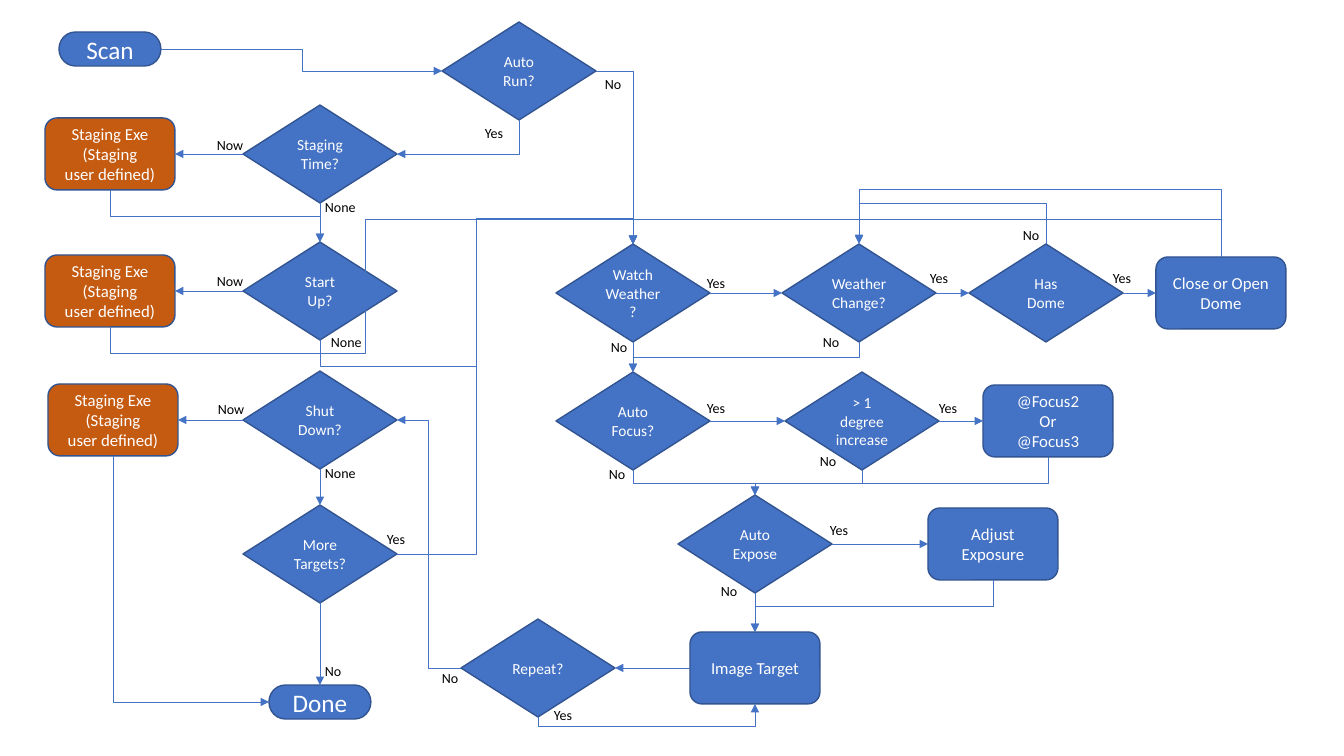
"""Build the telescope scan workflow flowchart slide."""
import pptx
import pptx.dml.color
import pptx.enum.shapes
import pptx.enum.text
import pptx.oxml
import pptx.oxml.ns
import pptx.util

SHAPE = pptx.enum.shapes.MSO_SHAPE
CONNECTOR = pptx.enum.shapes.MSO_CONNECTOR
ALIGN = pptx.enum.text.PP_ALIGN
BLUE, ORANGE, OUTLINE = "4472C4", "C55A11", "325491"
SIDES = ("top", "left", "bottom", "right")

KINDS = {
    "decision": (SHAPE.FLOWCHART_DECISION, 154, 98, 11, BLUE),
    "process": (SHAPE.FLOWCHART_ALTERNATE_PROCESS, 130, 72, 12, BLUE),
    "staging": (SHAPE.FLOWCHART_ALTERNATE_PROCESS, 130, 72, 12, ORANGE),
    "terminal": (SHAPE.FLOWCHART_TERMINATOR, 102, 34, 18, BLUE),
}
STAGING_TEXT = "Staging Exe (Staging\nuser defined)"

# name: kind, centre x, centre y, text
NODES = {
    "scan": ("terminal", 110, 49, "Scan"),
    "run": ("decision", 519, 71, "Auto\nRun?"),
    "staging time": ("decision", 320, 154, "Staging Time?"),
    "start up": ("decision", 320, 291, "Start Up?"),
    "shut down": ("decision", 320, 420, "Shut Down?"),
    "more": ("decision", 320, 554, "More Targets?"),
    "done": ("terminal", 320, 702, "Done"),
    "stage exe": ("staging", 110, 154, STAGING_TEXT),
    "start exe": ("staging", 110, 291, STAGING_TEXT),
    "shut exe": ("staging", 113, 420, STAGING_TEXT),
    "watch": ("decision", 633, 293, "Watch Weather?"),
    "weather": ("decision", 859, 293, "Weather Change?"),
    "has dome": ("decision", 1046, 293, "Has Dome"),
    "move dome": ("process", 1221, 293, "Close or Open Dome"),
    "focus": ("decision", 633, 421, "Auto\nFocus?"),
    "degree": ("decision", 862, 421, "> 1 degree increase"),
    "refocus": ("process", 1048, 421, "@Focus2\nOr\n@Focus3"),
    "expose": ("decision", 755, 544, "Auto Expose"),
    "adjust": ("process", 993, 544, "Adjust Exposure"),
    "image": ("process", 755, 668, "Image Target"),
    "repeat": ("decision", 538, 668, "Repeat?"),
}

# from, side, to, side, coordinates of the inner segments in turn
LINKS = [
    ("scan", "right", "run", "left", [302]),
    ("run", "bottom", "staging time", "right", []),
    ("run", "right", "watch", "top", []),
    ("staging time", "left", "stage exe", "right", []),
    ("staging time", "bottom", "start up", "top", []),
    ("stage exe", "bottom", "start up", "top", [216]),
    ("start up", "left", "start exe", "right", []),
    ("start up", "bottom", "watch", "top", [366, 476, 219]),
    ("start exe", "bottom", "watch", "top", [353, 366, 219]),
    ("shut down", "left", "shut exe", "right", []),
    ("shut down", "bottom", "more", "top", []),
    ("shut exe", "bottom", "done", "left", []),
    ("more", "bottom", "done", "top", []),
    ("more", "right", "watch", "top", [476, 219]),
    ("watch", "right", "weather", "left", []),
    ("watch", "bottom", "focus", "top", []),
    ("weather", "right", "has dome", "left", []),
    ("weather", "bottom", "focus", "top", [357]),
    ("has dome", "right", "move dome", "left", []),
    ("has dome", "top", "weather", "top", [203]),
    ("move dome", "top", "weather", "top", [189]),
    ("move dome", "top", "watch", "top", [219]),
    ("focus", "right", "degree", "left", []),
    ("focus", "bottom", "expose", "top", [483]),
    ("degree", "right", "refocus", "left", []),
    ("degree", "bottom", "expose", "top", [483]),
    ("refocus", "bottom", "expose", "top", [483]),
    ("expose", "right", "adjust", "left", []),
    ("expose", "bottom", "image", "top", []),
    ("adjust", "bottom", "image", "top", [606]),
    ("image", "left", "repeat", "right", []),
    ("repeat", "bottom", "image", "bottom", [726]),
    ("repeat", "left", "shut down", "right", [428]),
]

# text: width and the left, top corners
LABELS = {
    "Yes": (39, [(475, 120), (697, 270), (920, 265), (1103, 265), (697, 395),
                 (929, 395), (820, 517), (377, 526), (544, 702)]),
    "No": (37, [(595, 71), (601, 334), (813, 329), (1013, 222), (599, 461),
                (810, 448), (711, 578), (315, 658), (432, 665)]),
    "Now": (47, [(207, 132), (207, 268), (208, 396)]),
    "None": (51, [(315, 194), (321, 329), (315, 460)]),
}


def px(n):
    return round(n * 914400 / 100.8)


def rgb(value):
    return pptx.dml.color.RGBColor.from_string(value)


def write(sp, text, size, color, align):
    tf = sp.text_frame
    tf.text = text
    for p in tf.paragraphs:
        p.alignment = align
        p.font.name = "Calibri"
        p.font.size = pptx.util.Pt(size)
        p.font.color.rgb = rgb(color)
    return tf


def add_node(shapes, kind, x, y, text):
    preset, w, h, size, fill = KINDS[kind]
    sp = shapes.add_shape(preset, px(x - w / 2), px(y - h / 2), px(w), px(h))
    sp.shadow.inherit = False
    sp.fill.solid()
    sp.fill.fore_color.rgb = rgb(fill)
    sp.line.color.rgb = rgb(OUTLINE)
    sp.line.width = pptx.util.Pt(1)
    tf = write(sp, text, size, "FFFFFF", ALIGN.CENTER)
    tf.word_wrap = True
    tf.vertical_anchor = pptx.enum.text.MSO_ANCHOR.MIDDLE
    return sp


def bend(c, upright, bends):
    start = (c.begin_x, c.begin_y)
    dx = c.end_x - start[0] or px(1)
    dy = c.end_y - start[1] or -px(1)
    w, h = (abs(dy), abs(dx)) if upright else (abs(dx), abs(dy))
    c.left = start[0] + (dx - w) // 2
    c.top = start[1] + (dy - h) // 2
    c.width, c.height = w, h
    flip_h, flip_v, turn = dx < 0, dy < 0, 0
    if upright:
        turned = (dx > 0) == (dy > 0)
        turn = 270 if turned else 90
        flip_h, flip_v = (dy < 0) != turned, (dx > 0) != turned
    xfrm = c._element.spPr.xfrm
    for name, value in (("rot", turn * 60000), ("flipH", int(flip_h)), ("flipV", int(flip_v))):
        xfrm.set(name, str(value))
    geom = c._element.spPr.find(pptx.oxml.ns.qn("a:prstGeom"))
    geom.set("prst", f"bentConnector{len(bends) + 2}")
    guides = geom.find(pptx.oxml.ns.qn("a:avLst"))
    for i, at in enumerate(bends):
        axis = (i + upright) % 2
        share = round((px(at) - start[axis]) / (dx, dy)[axis] * 100000)
        gd = pptx.oxml.parse_xml(
            f'<a:gd {pptx.oxml.ns.nsdecls("a")} name="adj{i + 1}" fmla="val {share}"/>')
        guides.append(gd)


def add_link(shapes, source, side, target, end_side, bends):
    c = shapes.add_connector(CONNECTOR.STRAIGHT, 0, 0, 0, 0)
    c.begin_connect(source, SIDES.index(side))
    c.end_connect(target, SIDES.index(end_side))
    straight = min(abs(c.end_x - c.begin_x), abs(c.end_y - c.begin_y)) < px(1)
    if bends or not straight:
        bend(c, side in ("top", "bottom"), bends)
    c.line.color.rgb = rgb(BLUE)
    c.line.width = pptx.util.Pt(0.5)
    ns = pptx.oxml.ns.nsdecls("a")
    c.line._get_or_add_ln().append(pptx.oxml.parse_xml(f'<a:tailEnd {ns} type="triangle"/>'))
    c._element.spPr.append(pptx.oxml.parse_xml(f"<a:effectLst {ns}/>"))


def main():
    prs = pptx.Presentation()
    prs.slide_width, prs.slide_height = px(1344), px(756)
    shapes = prs.slides.add_slide(prs.slide_layouts[6]).shapes
    nodes = {name: add_node(shapes, *node) for name, node in NODES.items()}
    for source, side, target, end_side, bends in LINKS:
        add_link(shapes, nodes[source], side, nodes[target], end_side, bends)
    for text, (width, corners) in LABELS.items():
        for x, y in corners:
            sp = shapes.add_textbox(px(x), px(y), px(width), px(27))
            write(sp, text, 10, "000000", ALIGN.LEFT).word_wrap = False
    prs.save("out.pptx")


if __name__ == "__main__":
    main()
